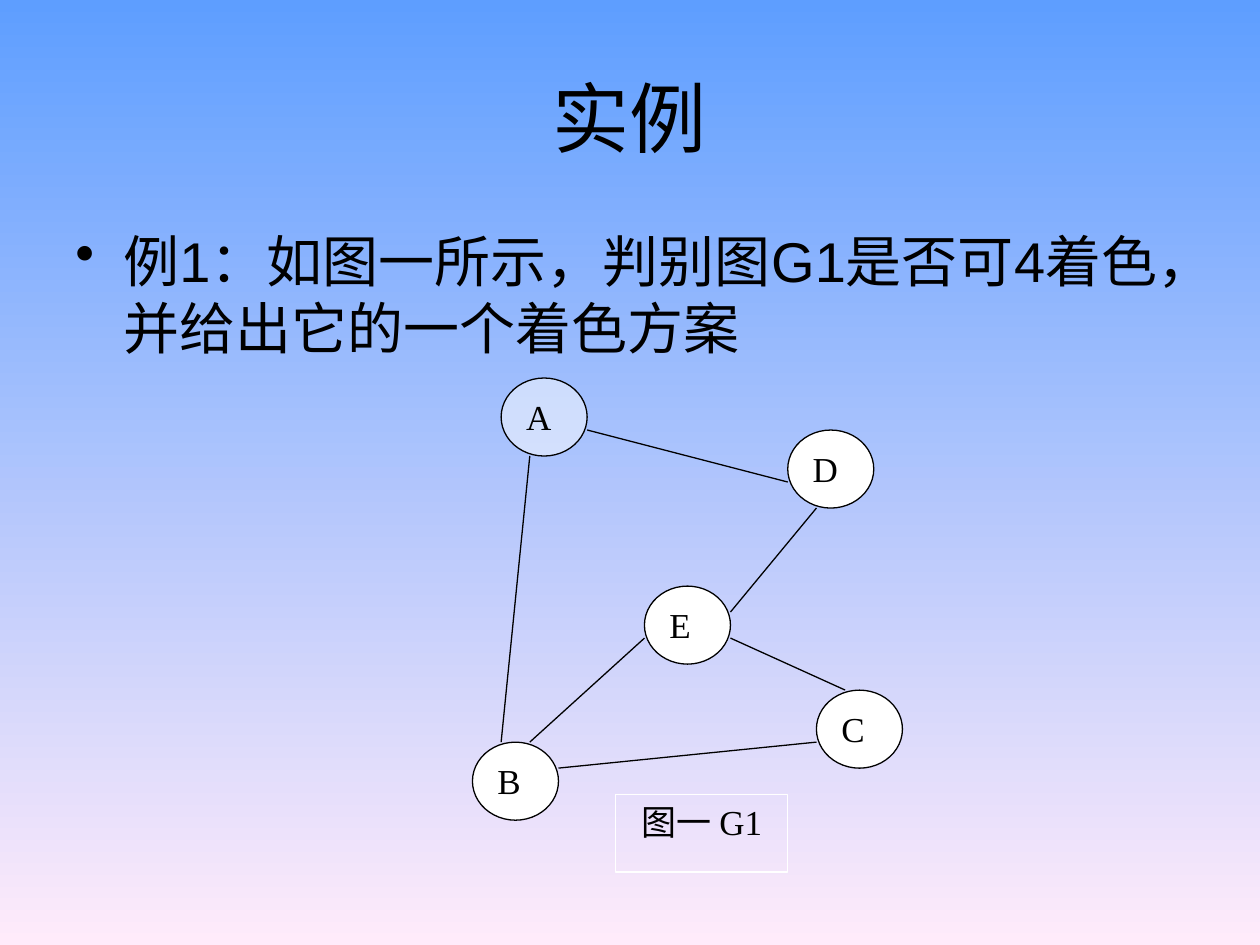
from lxml import etree
from pptx import Presentation
from pptx import util as u
from pptx.dml.color import RGBColor
from pptx.enum import shapes, text
from pptx.oxml.ns import qn

# Graph grid: origin and unit in inches; a node is 3 x 3 units
LEFT, TOP = 3.75, 3.0
DX, DY = 2.73 / 12, 2.89 / 14


def rgb(value):
    return RGBColor.from_string(value)


def grid(col, row):
    return u.Inches(LEFT + col * DX), u.Inches(TOP + row * DY)


class Deck:
    ink, paper = "000000", "FFFFFF"
    heading_font, label_font = "Arial", "Times New Roman"
    line_width = u.Pt(0.75)

    def __init__(self, prs):
        self.s = prs.slides.add_slide(prs.slide_layouts[6])

    def background(self, top, bottom):
        fill = self.s.background.fill
        fill.gradient()
        fill.gradient_angle = 270
        for stop, color, position in zip(fill.gradient_stops, (top, bottom), (0, 1)):
            stop.color.rgb = rgb(color)
            stop.position = position

    def set_text(self, tf, words, size, font, align):
        tf.word_wrap = True
        tf.text = words
        p = tf.paragraphs[0]
        p.alignment = align
        for r in p.runs:
            r.font.size = u.Pt(size)
            r.font.name = font
            r.font.color.rgb = rgb(self.ink)
        return p

    def textbox(self, words, box, size, align, anchor):
        sp = self.s.shapes.add_textbox(*map(u.Inches, box))
        sp.text_frame.vertical_anchor = anchor
        return self.set_text(sp.text_frame, words, size, self.heading_font, align)

    def bullet(self, p, indent):
        pPr = p._p.get_or_add_pPr()
        pPr.set("marL", str(u.Inches(indent)))
        pPr.set("indent", str(-u.Inches(indent)))
        etree.SubElement(pPr, qn("a:buChar")).set("char", "•")

    def labelled(self, kind, words, at, cols, line, align, fill=None, alpha=None):
        sp = self.s.shapes.add_shape(
            kind, *grid(*at), u.Inches(cols * DX), u.Inches(3 * DY))
        sp.shadow.inherit = False
        sp.line.color.rgb = rgb(line)
        sp.line.width = self.line_width
        if fill:
            sp.fill.solid()
            sp.fill.fore_color.rgb = rgb(fill)
        else:
            sp.fill.background()
        if alpha:
            color = sp._element.spPr.find(qn("a:solidFill"))[0]
            etree.SubElement(color, qn("a:alpha")).set("val", str(alpha * 1000))
        sp.text_frame.vertical_anchor = text.MSO_ANCHOR.TOP
        self.set_text(sp.text_frame, words, 20, self.label_font, align)

    def node(self, name, at, alpha=None):
        self.labelled(shapes.MSO_SHAPE.OVAL, name, at, 3, self.ink,
                      text.PP_ALIGN.JUSTIFY, self.paper, alpha)

    def caption(self, words, at):
        self.labelled(shapes.MSO_SHAPE.RECTANGLE, words, at, 6, self.paper,
                      text.PP_ALIGN.CENTER)

    def edge(self, start, end):
        line = self.s.shapes.add_connector(
            shapes.MSO_CONNECTOR.STRAIGHT, *grid(*start), *grid(*end))
        line.line.color.rgb = rgb(self.ink)
        line.line.width = self.line_width
        etree.SubElement(line._element.spPr, qn("a:effectLst"))


def main():
    prs = Presentation()
    prs.slide_width, prs.slide_height = u.Inches(10), u.Inches(7.5)
    deck = Deck(prs)
    deck.background("5E9EFF", "FFEBFA")

    # Title and question
    deck.textbox("实例", (0.5, 0.3, 9, 1.25), 44,
                 text.PP_ALIGN.CENTER, text.MSO_ANCHOR.MIDDLE)
    question = deck.textbox(
        "例1：如图一所示，判别图G1是否可4着色，并给出它的一个着色方案",
        (0.5, 1.75, 9, 4.95), 32, text.PP_ALIGN.LEFT, text.MSO_ANCHOR.TOP)
    deck.bullet(question, 0.38)

    # Graph nodes, by column and row
    deck.node("A", (1, 0), alpha=49)
    for name, at in (("E", (6, 8)), ("D", (11, 2)), ("C", (12, 12)), ("B", (0, 14))):
        deck.node(name, at)

    # Graph edges: AB, BC, BE, EC, ED, AD
    for start, end in (((2, 3), (1, 14)), ((3, 15), (12, 14)), ((2, 14), (6, 10)),
                       ((9, 10), (13, 12)), ((9, 9), (12, 5)), ((4, 2), (11, 4))):
        deck.edge(start, end)

    # Figure caption
    deck.caption("图一 G1", (5, 16))
    prs.save("out.pptx")


if __name__ == "__main__":
    main()
